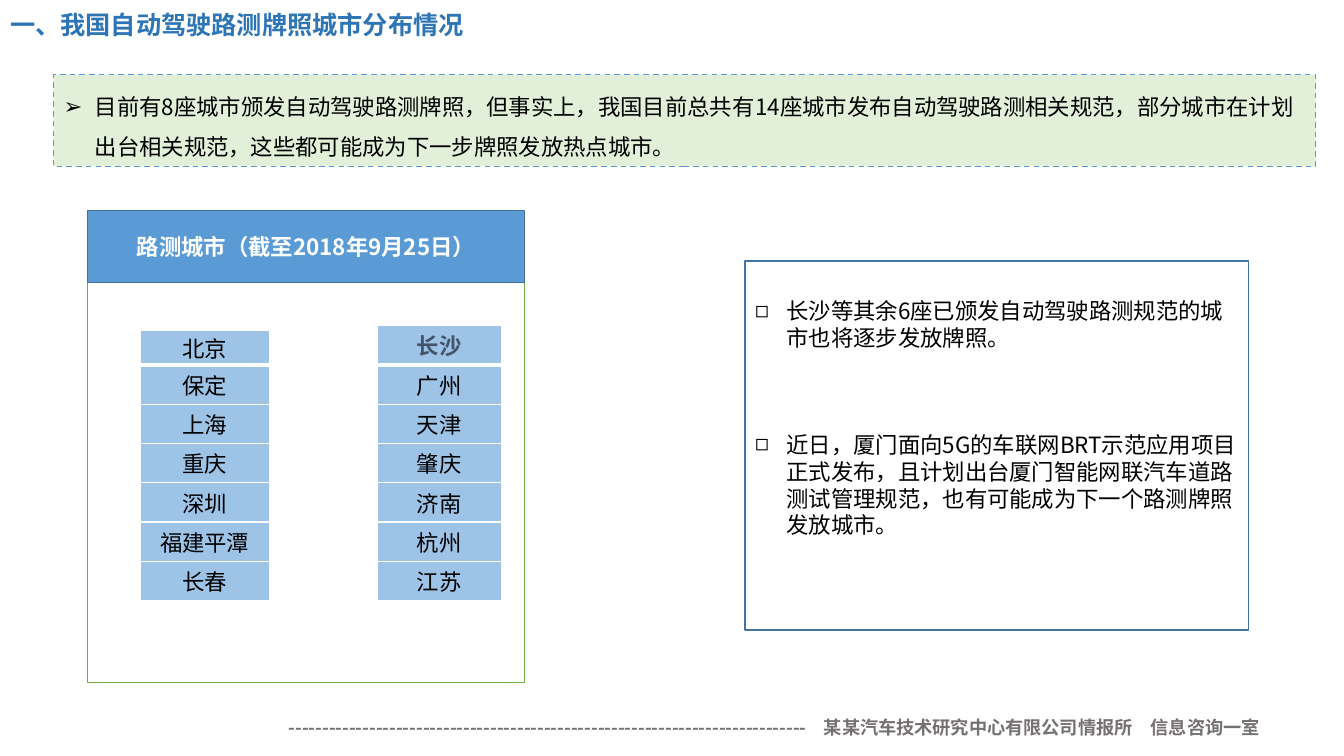
"""Build the slide on cities with autonomous-driving road-test licences."""
from dataclasses import dataclass
from typing import Optional

from lxml.etree import SubElement
from pptx import Presentation
from pptx.dml.color import RGBColor
from pptx.enum.dml import MSO_LINE
from pptx.enum.shapes import MSO_SHAPE
from pptx.enum.text import MSO_ANCHOR, MSO_AUTO_SIZE, PP_ALIGN
from pptx.oxml.ns import qn
from pptx.util import Inches, Pt

FONT = "Noto Sans CJK SC"
BLACK = RGBColor(0x00, 0x00, 0x00)
WHITE = RGBColor(0xFF, 0xFF, 0xFF)
TITLE_BLUE = RGBColor(0x2E, 0x75, 0xB6)
HEADER_BLUE = RGBColor(0x5B, 0x9B, 0xD5)
EDGE_BLUE = RGBColor(0x43, 0x73, 0x9E)
CELL_BLUE = RGBColor(0x9D, 0xC3, 0xE6)
SLATE = RGBColor(0x44, 0x54, 0x6A)
GREEN = RGBColor(0x70, 0xAD, 0x47)
PALE_GREEN = RGBColor(0xE2, 0xF0, 0xD9)
GREY = RGBColor(0x76, 0x71, 0x71)


@dataclass
class Area:
    left: float
    top: float
    width: float
    height: float

    def lengths(self):
        return [Inches(n) for n in (self.left, self.top, self.width, self.height)]


@dataclass
class CityList:
    area: Area
    first_height: float
    first_color: RGBColor
    first_bold: bool
    cities: list[str]


@dataclass
class BulletBox:
    area: Area
    bullet: str
    items: list[str]
    line_height: float
    gap: float
    inset: float
    fill: Optional[RGBColor]
    edge: RGBColor
    dash: Optional[MSO_LINE]


ROW_HEIGHT = 0.39
CITY_LISTS = [
    CityList(Area(1.39, 3.28, 1.28, 2.69), 0.34, BLACK, False,
             ["北京", "保定", "上海", "重庆", "深圳", "福建平潭", "长春"]),
    CityList(Area(3.74, 3.23, 1.23, 2.75), ROW_HEIGHT, SLATE, True,
             ["长沙", "广州", "天津", "肇庆", "济南", "杭州", "江苏"]),
]
BULLET_BOXES = [
    BulletBox(Area(0.53, 0.74, 12.52, 0.91), "➢",
              ["目前有8座城市颁发自动驾驶路测牌照，但事实上，我国目前总共有14座城市发布自动驾驶路测相关规范，"
               "部分城市在计划出台相关规范，这些都可能成为下一步牌照发放热点城市。"],
              28.8, 0, 0.05, PALE_GREEN, HEADER_BLUE, MSO_LINE.DASH),
    BulletBox(Area(7.39, 2.59, 4.99, 3.66), "◻",
              ["长沙等其余6座已颁发自动驾驶路测规范的城市也将逐步发放牌照。",
               "近日，厦门面向5G的车联网BRT示范应用项目正式发布，且计划出台厦门智能网联汽车道路测试管理规范，"
               "也有可能成为下一个路测牌照发放城市。"],
              19.2, 57, 0.36, None, EDGE_BLUE, None),
]


def place(shape, area: Area) -> None:
    shape.left, shape.top, shape.width, shape.height = area.lengths()


def style(para, size: float, color: RGBColor, bold: bool, align: PP_ALIGN) -> None:
    para.alignment = align
    font = para.font
    font.size, font.bold, font.name = Pt(size), bold, FONT
    font.color.rgb = color
    properties = para._p.pPr.find(qn("a:defRPr"))
    SubElement(properties, qn("a:ea"), typeface=FONT)


def add_bullet(para, char: str) -> None:
    properties = para._p.get_or_add_pPr()
    properties.set("marL", str(Inches(0.31)))
    properties.set("indent", str(-Inches(0.31)))
    SubElement(properties, qn("a:buChar"), char=char)


def fill_title(title) -> None:
    place(title, Area(0, 0.08, 11.82, 0.37))
    frame = title.text_frame
    frame.auto_size = MSO_AUTO_SIZE.NONE
    frame.vertical_anchor = MSO_ANCHOR.MIDDLE
    frame.text = "一、我国自动驾驶路测牌照城市分布情况"
    para = frame.paragraphs[0]
    para.line_spacing = 0.9
    style(para, 18, TITLE_BLUE, True, PP_ALIGN.LEFT)


def fill_bullets(body, box: BulletBox) -> None:
    place(body, box.area)
    if box.fill is not None:
        body.fill.solid()
        body.fill.fore_color.rgb = box.fill
    body.line.color.rgb = box.edge
    body.line.width = Pt(1)
    if box.dash is not None:
        body.line.dash_style = box.dash
    frame = body.text_frame
    frame.auto_size = MSO_AUTO_SIZE.NONE
    frame.vertical_anchor = MSO_ANCHOR.TOP
    frame.margin_top = Inches(box.inset)
    frame.text = "\n".join(box.items)
    for index, para in enumerate(frame.paragraphs):
        add_bullet(para, box.bullet)
        para.line_spacing = Pt(box.line_height)
        para.space_before = Pt(box.gap if index else 0)
        style(para, 16, BLACK, False, PP_ALIGN.LEFT)


def add_panel(page, kind: MSO_SHAPE, area: Area, fill: RGBColor, edge: RGBColor):
    panel = page.shapes.add_shape(kind, *area.lengths())
    panel.shadow.inherit = False
    panel.fill.solid()
    panel.fill.fore_color.rgb = fill
    panel.line.color.rgb = edge
    panel.line.width = Pt(1)
    return panel


def add_border(cell, side: str, width: float) -> None:
    border = SubElement(cell._tc.get_or_add_tcPr(), qn(f"a:ln{side}"), w=str(Pt(width)))
    SubElement(SubElement(border, qn("a:solidFill")), qn("a:srgbClr"), val=str(WHITE))


def add_city_list(page, group: CityList) -> None:
    table = page.shapes.add_table(len(group.cities), 1, *group.area.lengths()).table
    table.first_row = table.horz_banding = False
    for index, city in enumerate(group.cities):
        first = index == 0
        table.rows[index].height = Inches(group.first_height if first else ROW_HEIGHT)
        cell = table.cell(index, 0)
        cell.text = city
        cell.vertical_anchor = MSO_ANCHOR.MIDDLE
        cell.margin_top = cell.margin_bottom = Inches(0.01)
        thick_sides = {0: "B", 1: "T"}
        for side in "LRTB":
            add_border(cell, side, 3 if thick_sides.get(index) == side else 1)
        cell.fill.solid()
        cell.fill.fore_color.rgb = CELL_BLUE
        style(cell.text_frame.paragraphs[0], 16, group.first_color if first else BLACK,
              first and group.first_bold, PP_ALIGN.CENTER)


def add_footer(page) -> None:
    footer = page.shapes.add_textbox(*Area(1.33, 7.06, 11.26, 0.32).lengths())
    frame = footer.text_frame
    frame.word_wrap = True
    frame.text = "-" * 77 + "　某某汽车技术研究中心有限公司情报所　信息咨询一室"
    style(frame.paragraphs[0], 13, GREY, True, PP_ALIGN.RIGHT)


def main() -> None:
    deck = Presentation()
    deck.slide_width, deck.slide_height = Inches(13.33), Inches(7.5)
    page = deck.slides.add_slide(deck.slide_layouts[3])
    fill_title(page.shapes.title)
    for index, box in enumerate(BULLET_BOXES, start=1):
        fill_bullets(page.placeholders[index], box)
    add_panel(page, MSO_SHAPE.FLOWCHART_PROCESS, Area(0.87, 2.79, 4.33, 3.98), WHITE, GREEN)
    header = add_panel(page, MSO_SHAPE.RECTANGLE, Area(0.87, 2.09, 4.33, 0.71),
                       HEADER_BLUE, EDGE_BLUE)
    header.text_frame.text = "路测城市（截至2018年9月25日）"
    header.text_frame.vertical_anchor = MSO_ANCHOR.MIDDLE
    style(header.text_frame.paragraphs[0], 16, WHITE, True, PP_ALIGN.CENTER)
    for group in CITY_LISTS:
        add_city_list(page, group)
    add_footer(page)
    deck.save("out.pptx")


if __name__ == "__main__":
    main()
